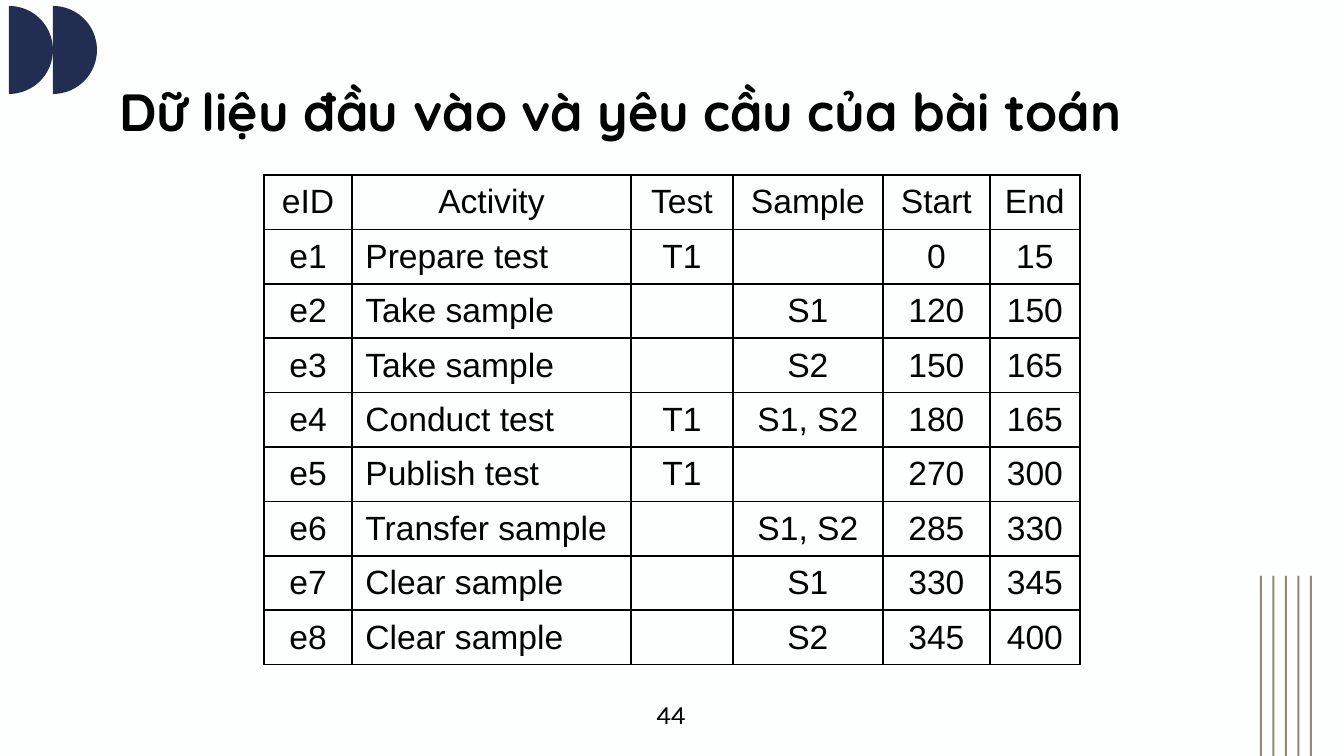
from math import cos, pi, sin

from lxml.etree import SubElement
from pptx import Presentation
from pptx.dml.color import RGBColor
from pptx.enum.shapes import MSO_SHAPE
from pptx.enum.text import MSO_ANCHOR, PP_ALIGN
from pptx.oxml.ns import qn
from pptx.util import Emu, Pt

PX = 9144000 / 1344
COLORS = {"background": "FDFFFE", "navy": "212E51", "taupe": "948777", "ink": "000000"}

COLUMN_WIDTHS = [88, 279, 102, 150, 107, 90]
EVENTS = [
    ["eID", "Activity", "Test", "Sample", "Start", "End"],
    ["e1", "Prepare test", "T1", "", "0", "15"],
    ["e2", "Take sample", "", "S1", "120", "150"],
    ["e3", "Take sample", "", "S2", "150", "165"],
    ["e4", "Conduct test", "T1", "S1, S2", "180", "165"],
    ["e5", "Publish test", "T1", "", "270", "300"],
    ["e6", "Transfer sample", "", "S1, S2", "285", "330"],
    ["e7", "Clear sample", "", "S1", "330", "345"],
    ["e8", "Clear sample", "", "S2", "345", "400"],
]
ACTIVITY_COLUMN = 1


def px(length):
    return Emu(round(length * PX))


def color(name):
    return RGBColor.from_string(COLORS[name])


def paint(shape, name):
    shape.fill.solid()
    shape.fill.fore_color.rgb = color(name)
    shape.line.fill.background()
    shape.shadow.inherit = False


def style(paragraph, font_name, size, align, bold=False):
    paragraph.alignment = align
    font = paragraph.font
    for target in [font] + [run.font for run in paragraph.runs]:
        target.name = font_name
        target.size = Pt(size)
        target.bold = bold
        target.color.rgb = color("ink")


def add_half_discs(slide, left, top, width, height):
    """Two half discs side by side, each with its flat edge on the left."""
    radius = width / 2
    steps = 60
    for disc_left in (left, left + radius):
        arc = [
            (
                px(disc_left + radius * sin(pi * step / steps)),
                px(top + height / 2 * (1 - cos(pi * step / steps))),
            )
            for step in range(steps + 1)
        ]
        outline = slide.shapes.build_freeform(*arc[0])
        outline.add_line_segments(arc[1:], close=True)
        paint(outline.convert_to_shape(), "navy")


def add_stripes(slide, left, top, width, height, count=5, stripe_width=2):
    step = (width - stripe_width) / (count - 1)
    for index in range(count):
        stripe = slide.shapes.add_shape(
            MSO_SHAPE.RECTANGLE,
            px(left + index * step), px(top), px(stripe_width), px(height),
        )
        paint(stripe, "taupe")


def place_title(slide, left, top, width, height):
    title = slide.shapes.title
    title.left, title.top = px(left), px(top)
    title.width, title.height = px(width), px(height)
    frame = title.text_frame
    frame.text = "Dữ liệu đầu vào và yêu cầu của bài toán"
    frame.word_wrap = True
    frame.vertical_anchor = MSO_ANCHOR.TOP
    frame.margin_left = frame.margin_right = px(13)
    frame.margin_top = frame.margin_bottom = px(13)
    style(frame.paragraphs[0], "Quicksand", 28, PP_ALIGN.LEFT, bold=True)


def add_page_number(slide, left, top, width, height):
    page_number = slide.shapes.add_textbox(px(left), px(top), px(width), px(height))
    frame = page_number.text_frame
    frame.text = "44"
    frame.word_wrap = True
    frame.vertical_anchor = MSO_ANCHOR.MIDDLE
    style(frame.paragraphs[0], "Karla", 14, PP_ALIGN.CENTER)


def add_borders(cell):
    properties = cell._tc.get_or_add_tcPr()
    for index, side in enumerate(("a:lnL", "a:lnR", "a:lnT", "a:lnB")):
        border = SubElement(properties, qn(side), w=str(Pt(1)))
        fill = SubElement(border, qn("a:solidFill"))
        SubElement(fill, qn("a:srgbClr"), val=COLORS["ink"])
        properties.insert(index, border)


def add_event_table(slide, left, top, width, height):
    table = slide.shapes.add_table(
        len(EVENTS), len(COLUMN_WIDTHS), px(left), px(top), px(width), px(height)
    ).table
    table.first_row = table.horz_banding = False
    for column, share in zip(table.columns, COLUMN_WIDTHS):
        column.width = px(width * share / sum(COLUMN_WIDTHS))
    for row_index, event in enumerate(EVENTS):
        table.rows[row_index].height = px(height / len(EVENTS))
        for column_index, value in enumerate(event):
            cell = table.cell(row_index, column_index)
            cell.text_frame.text = value
            cell.vertical_anchor = MSO_ANCHOR.MIDDLE
            cell.fill.background()
            add_borders(cell)
            is_activity = row_index > 0 and column_index == ACTIVITY_COLUMN
            align = PP_ALIGN.LEFT if is_activity else PP_ALIGN.CENTER
            style(cell.text_frame.paragraphs[0], "Arial", 18, align)


def main():
    presentation = Presentation()
    presentation.slide_width, presentation.slide_height = px(1344), px(756)
    slide = presentation.slides.add_slide(presentation.slide_layouts[5])
    slide.background.fill.solid()
    slide.background.fill.fore_color.rgb = color("background")

    add_half_discs(slide, 9, 6, 88, 88)
    add_stripes(slide, 1260, 576, 52, 180)
    place_title(slide, 106, 66, 1133, 85)
    add_page_number(slide, 634, 691, 74, 46)
    add_event_table(slide, 264, 175, 816, 490)
    presentation.save("out.pptx")


if __name__ == "__main__":
    main()
